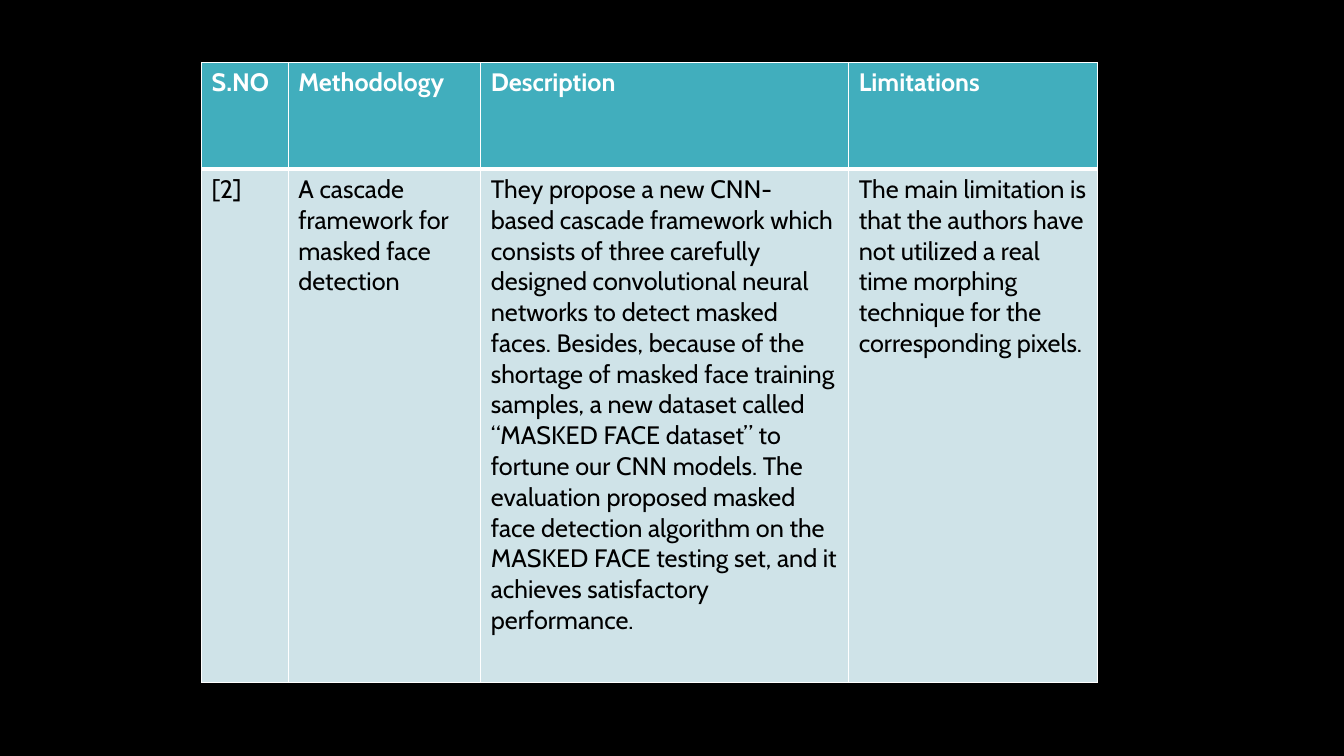
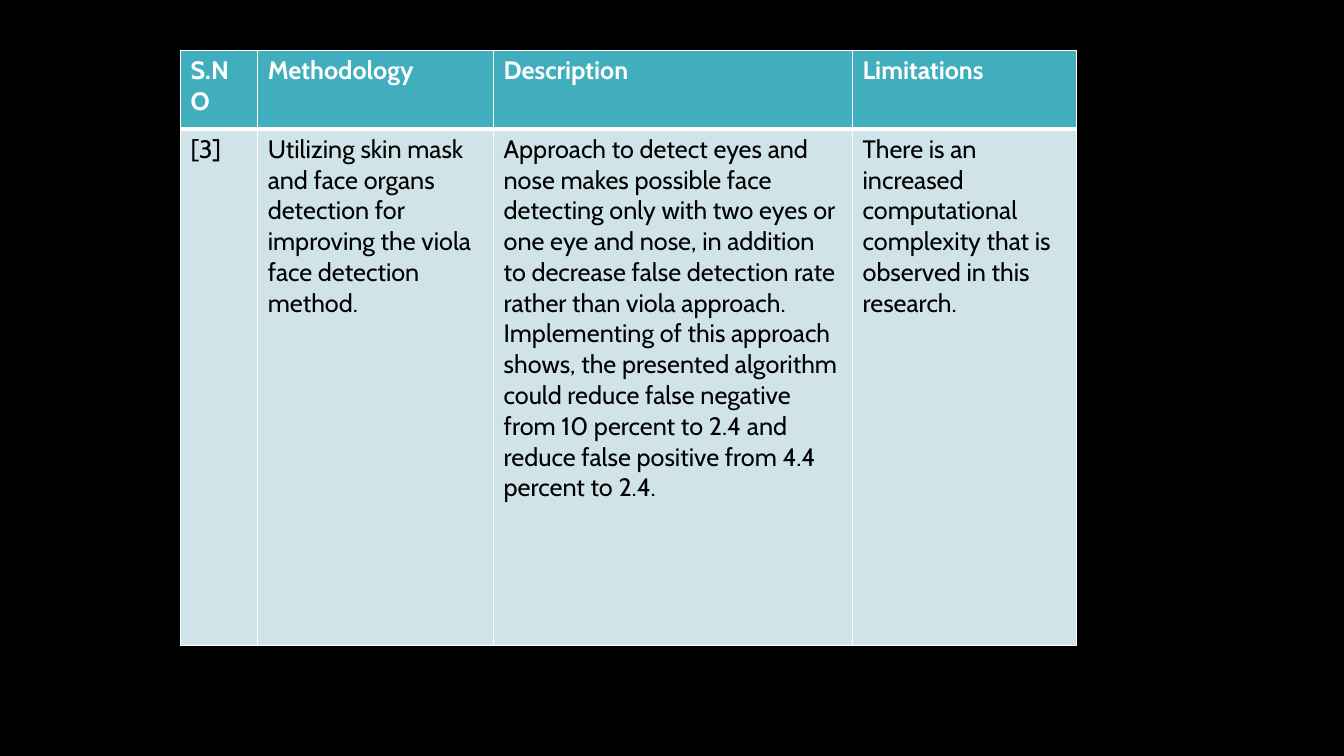
"""Build two literature survey slides, each with one comparison table."""
from lxml.etree import SubElement
from pptx import Presentation
from pptx.dml.color import RGBColor
from pptx.oxml.ns import qn
from pptx.util import Inches, Pt

COLORS = {"background": "000000", "header": "41AEBD", "body": "CFE3E8",
          "header_text": "FFFFFF", "body_text": "000000", "border": "FFFFFF"}
FONT = {"name": "Cabin", "size": Pt(18)}
ROW_STYLES = [
    {"fill": "header", "text": "header_text", "bold": True,
     "borders": {"lnL": 1, "lnR": 1, "lnT": 1, "lnB": 3}},
    {"fill": "body", "text": "body_text", "bold": False,
     "borders": {"lnL": 1, "lnR": 1, "lnT": 3, "lnB": 1}},
]
HEADINGS = ["S.NO", "Methodology", "Description", "Limitations"]

SURVEYS = [
    {
        "left": 15, "top": 8.27,
        "columns": [6.45, 14.33, 27.38, 18.51], "rows": [14.13, 67.87],
        "entry": [
            "[2]",
            "A cascade framework for masked face detection",
            "They propose a new CNN- based cascade framework which consists of three "
            "carefully designed convolutional neural networks to detect masked faces. "
            "Besides, because of the shortage of masked face training samples, a new "
            "dataset called “MASKED FACE dataset” to fortune our CNN models. The "
            "evaluation proposed masked face detection algorithm on the MASKED FACE "
            "testing set, and it achieves satisfactory performance.",
            "The main limitation is that the authors have not utilized a real time "
            "morphing technique for the corresponding pixels.",
        ],
    },
    {
        "left": 13.43, "top": 6.67,
        "columns": [5.75, 17.55, 26.71, 16.66], "rows": [10.4, 68.27],
        "entry": [
            "[3]",
            "Utilizing skin mask and face organs detection for improving the viola "
            "face detection method.",
            "Approach to detect eyes and nose makes possible face detecting only with "
            "two eyes or one eye and nose, in addition to decrease false detection rate "
            "rather than viola approach. Implementing of this approach shows, the "
            "presented algorithm could reduce false negative from 10 percent to 2.4 and "
            "reduce false positive from 4.4 percent to 2.4.",
            "There is an increased computational complexity that is observed in this "
            "research.",
        ],
    },
]


def share(percent, length):
    """Return a percentage of a slide length."""
    return round(length * percent / 100)


def format_cell(cell, text, style):
    """Write the text of a cell and apply the style of its row."""
    properties = cell._tc.get_or_add_tcPr()
    for side, points in style["borders"].items():
        line = SubElement(properties, qn(f"a:{side}"), w=str(Pt(points)))
        fill = SubElement(line, qn("a:solidFill"))
        SubElement(fill, qn("a:srgbClr"), val=COLORS["border"])
    cell.fill.solid()
    cell.fill.fore_color.rgb = RGBColor.from_string(COLORS[style["fill"]])
    cell.text = text
    font = cell.text_frame.paragraphs[0].runs[0].font
    for attribute, value in {**FONT, "bold": style["bold"]}.items():
        setattr(font, attribute, value)
    font.color.rgb = RGBColor.from_string(COLORS[style["text"]])


presentation = Presentation()
presentation.slide_width, presentation.slide_height = Inches(13.33), Inches(7.5)
width, height = presentation.slide_width, presentation.slide_height
background = presentation.slide_master.background.fill
background.solid()
background.fore_color.rgb = RGBColor.from_string(COLORS["background"])
blank_layout = presentation.slide_layouts.get_by_name("Blank")

for survey in SURVEYS:
    slide = presentation.slides.add_slide(blank_layout)
    table = slide.shapes.add_table(
        len(survey["rows"]), len(survey["columns"]),
        share(survey["left"], width), share(survey["top"], height),
        share(sum(survey["columns"]), width), share(sum(survey["rows"]), height),
    ).table
    for column, percent in zip(table.columns, survey["columns"]):
        column.width = share(percent, width)
    contents = [HEADINGS, survey["entry"]]
    for row, percent, texts, style in zip(table.rows, survey["rows"], contents, ROW_STYLES):
        row.height = share(percent, height)
        for cell, text in zip(row.cells, texts):
            format_cell(cell, text, style)

presentation.save("out.pptx")
